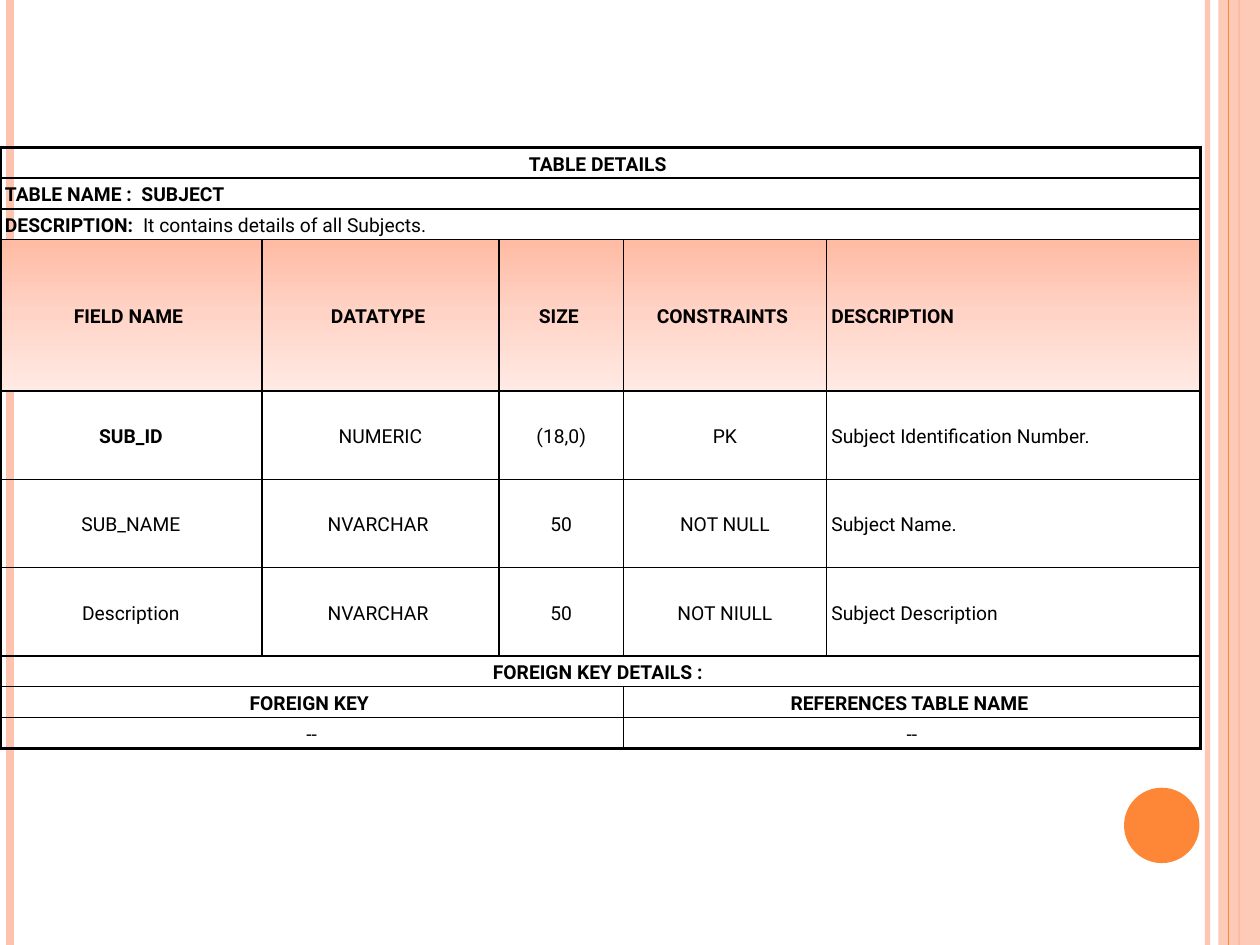
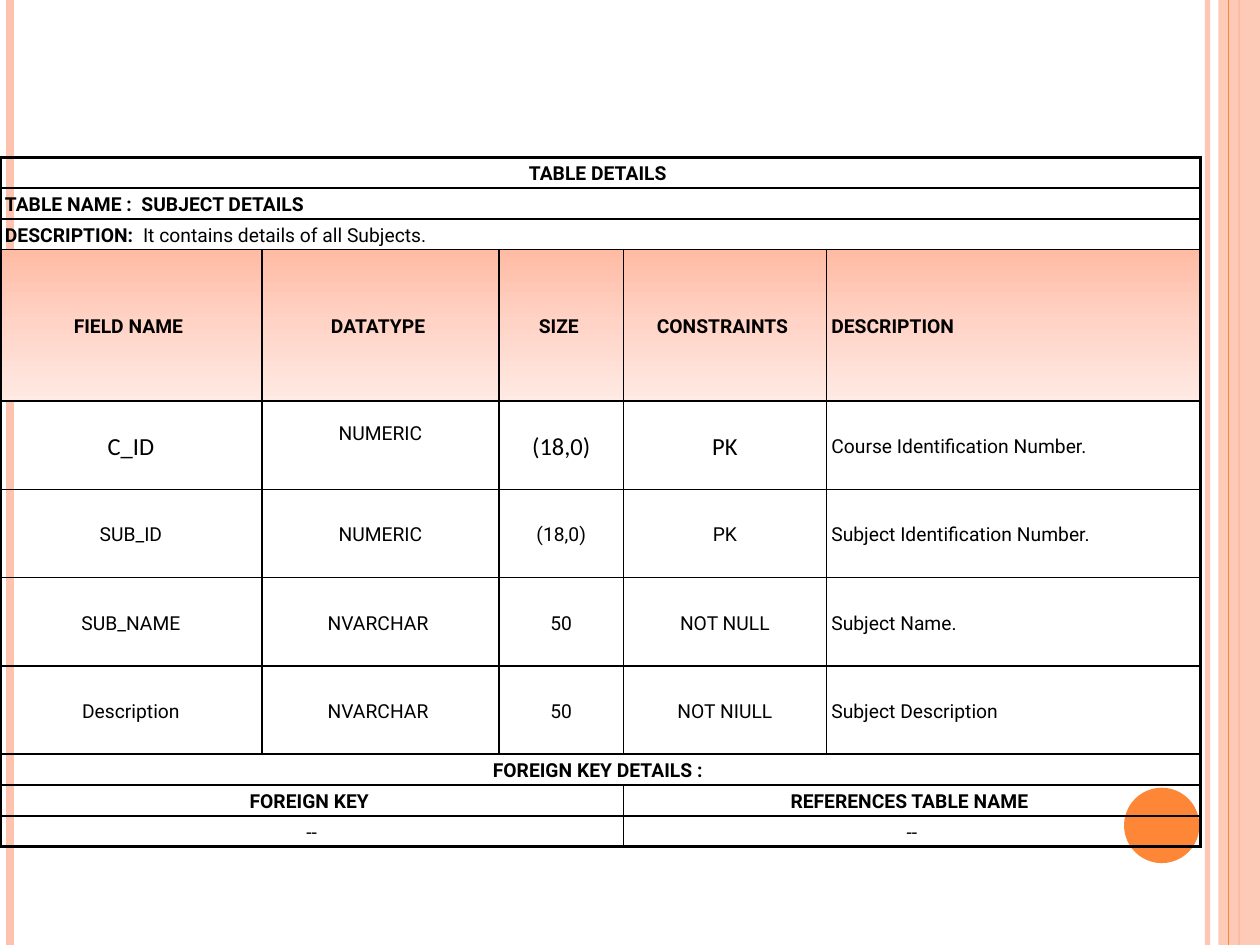
from lxml import etree
from pptx import Presentation
from pptx.dml.color import RGBColor
from pptx.enum import shapes, text
from pptx.oxml.ns import qn
from pptx.util import Cm, Pt

PEACH, ORANGE, BLACK = "FEC3AE", "FE8637", "000000"
HEADER_GRADIENT = [(0, "FFBBA3"), (50, "FFD4C7"), (100, "FFEAE4")]
BODY_FONT, LARGE_FONT = ("Roboto", 11), ("Calibri", 14)
THIN, THICK = 1, 2.25
WIDTH, HEIGHT = 25.4, 19.05

STRIPES = [(24.34, PEACH, 3, 93), (0.21, PEACH, 4.5, 100), (24.98, ORANGE, 1.5, 100)]
EDGE_STRIPE = (24.77, ORANGE, 0.75, 100)

COLUMNS = [5.28, 4.78, 2.51, 4.09, 7.54]
LAST = len(COLUMNS)
TEXT_ROW, HEADER_ROW, FIELD_ROW = 0.62, 3.05, 1.78
HEADERS = ["FIELD NAME ", "DATATYPE ", "SIZE ", "CONSTRAINTS ", "DESCRIPTION"]
SUBJECT_ID = ["SUB_ID", "NUMERIC", "(18,0)", "PK", "Subject Identification Number."]
SUBJECT_TEXTS = [
    ["SUB_NAME", "NVARCHAR ", "50", "NOT NULL", "Subject Name."],
    ["Description", "NVARCHAR ", "50", "NOT NIULL", "Subject Description"],
]
COURSE_ID = ["C_ID", "NUMERIC", "(18,0)", "PK", "Course Identification Number."]

TABLES = [
    {"top": 2.97, "name": "SUBJECT", "fields": [SUBJECT_ID] + SUBJECT_TEXTS,
     "bold": {(0, 0)}, "large": set(), "raised": set()},
    {"top": 3.17, "name": "SUBJECT DETAILS", "fields": [COURSE_ID, SUBJECT_ID] + SUBJECT_TEXTS,
     "bold": set(), "large": {(0, 0), (0, 2), (0, 3)}, "raised": {(0, 1)}},
]


def colour(value):
    return RGBColor.from_string(value)


def add_child(parent, tag, **attributes):
    child = etree.SubElement(parent, qn(tag))
    for name, value in attributes.items():
        child.set(name, str(value))
    return child


def set_alpha(shape, percent):
    for paint in shape._element.spPr.iter(qn("a:srgbClr")):
        add_child(paint, "a:alpha", val=percent * 1000)


def add_stripe(page, left, tone, width, opacity):
    stripe = page.shapes.add_connector(
        shapes.MSO_CONNECTOR.STRAIGHT, Cm(left), 0, Cm(left), Cm(HEIGHT))
    stripe.line.color.rgb = colour(tone)
    stripe.line.width = Pt(width)
    if opacity < 100:
        set_alpha(stripe, opacity)
    add_child(stripe._element.spPr, "a:effectLst")


def add_plain_shape(page, kind, left, top, width, height, tone):
    shape = page.shapes.add_shape(kind, Cm(left), Cm(top), Cm(width), Cm(height))
    shape.shadow.inherit = False
    shape.fill.solid()
    shape.fill.fore_color.rgb = colour(tone)
    shape.line.fill.background()
    return shape


def add_decoration(page):
    for stripe in STRIPES:
        add_stripe(page, *stripe)
    band = add_plain_shape(page, shapes.MSO_SHAPE.RECTANGLE, 24.56, 0, 0.84, HEIGHT, PEACH)
    set_alpha(band, 87)
    add_stripe(page, *EDGE_STRIPE)
    add_plain_shape(page, shapes.MSO_SHAPE.OVAL, 22.66, 15.88, 1.52, 1.52, ORANGE)


def set_borders(cell, widths):
    properties = cell._tc.get_or_add_tcPr()
    for side, width in zip("LRTB", widths):
        border = add_child(properties, "a:ln" + side, w=int(Pt(width)))
        add_child(add_child(border, "a:solidFill"), "a:srgbClr", val=BLACK)


def set_header_fill(cell):
    gradient = add_child(cell._tc.get_or_add_tcPr(), "a:gradFill", rotWithShape=1)
    stops = add_child(gradient, "a:gsLst")
    for position, tone in HEADER_GRADIENT:
        add_child(add_child(stops, "a:gs", pos=position * 1000), "a:srgbClr", val=tone)
    add_child(gradient, "a:lin", ang=90 * 60000, scaled=0)


def write_cell(cell, spans, centred, font):
    cell.vertical_anchor = text.MSO_ANCHOR.MIDDLE
    cell.margin_left = cell.margin_right = Cm(0.1)
    cell.margin_top = cell.margin_bottom = Cm(0.05)
    para = cell.text_frame.paragraphs[0]
    para.line_spacing = 1.15
    para.alignment = text.PP_ALIGN.CENTER if centred else text.PP_ALIGN.LEFT
    for words, bold in spans:
        span = para.add_run()
        span.text = words
        span.font.name, span.font.size = font[0], Pt(font[1])
        span.font.bold = bold
        span.font.color.rgb = colour(BLACK)


def table_rows(details):
    def full(*spans, centred=False):
        return TEXT_ROW, [(LAST, spans, centred, BODY_FONT)]

    def halves(left, right, bold):
        return TEXT_ROW, [(3, [(left, bold)], True, BODY_FONT),
                          (2, [(right, bold)], True, BODY_FONT)]

    def columns(height, words, bold, large):
        return height, [
            (1, [(word, index in bold)], index < LAST - 1,
             LARGE_FONT if index in large else BODY_FONT)
            for index, word in enumerate(words)]

    yield full(("TABLE DETAILS ", True), centred=True)
    yield full(("TABLE NAME :  " + details["name"], True))
    yield full(("DESCRIPTION:  ", True), ("It contains details of all Subjects.", False))
    yield columns(HEADER_ROW, HEADERS, range(LAST), ())
    for number, field in enumerate(details["fields"]):
        bold, large = ({index for row, index in details[key] if row == number}
                       for key in ("bold", "large"))
        yield columns(FIELD_ROW, field, bold, large)
    yield full(("FOREIGN KEY DETAILS : ", True), centred=True)
    yield halves("FOREIGN KEY ", "REFERENCES TABLE NAME ", True)
    yield halves("--", "--", False)


def add_details_table(page, details):
    rows = list(table_rows(details))
    frame = page.shapes.add_table(
        len(rows), LAST, 0, Cm(details["top"]), Cm(sum(COLUMNS)),
        Cm(sum(height for height, _ in rows)))
    table = frame.table
    table.first_row = table.horz_banding = False
    for column, width in zip(table.columns, COLUMNS):
        column.width = Cm(width)
    for row, (height, parts) in enumerate(rows):
        table.rows[row].height = Cm(height)
        start = 0
        for count, spans, centred, font in parts:
            end = start + count
            outer = [start == 0, end == LAST, row == 0, row == len(rows) - 1]
            for index in range(start, end):
                cell = table.cell(row, index)
                set_borders(cell, [THICK if edge else THIN for edge in outer])
                if height == HEADER_ROW:
                    set_header_fill(cell)
                else:
                    cell.fill.background()
            cell = table.cell(row, start)
            if count > 1:
                cell.merge(table.cell(row, end - 1))
            write_cell(cell, spans, centred, font)
            start = end
    first_field = 4
    for row, index in details["raised"]:
        table.cell(first_field + row, index).margin_bottom = Cm(0.58)


def main():
    deck = Presentation()
    deck.slide_width, deck.slide_height = Cm(WIDTH), Cm(HEIGHT)
    blank = deck.slide_layouts[6]
    for details in TABLES:
        page = deck.slides.add_slide(blank)
        add_decoration(page)
        add_details_table(page, details)
    deck.save("out.pptx")


if __name__ == "__main__":
    main()
